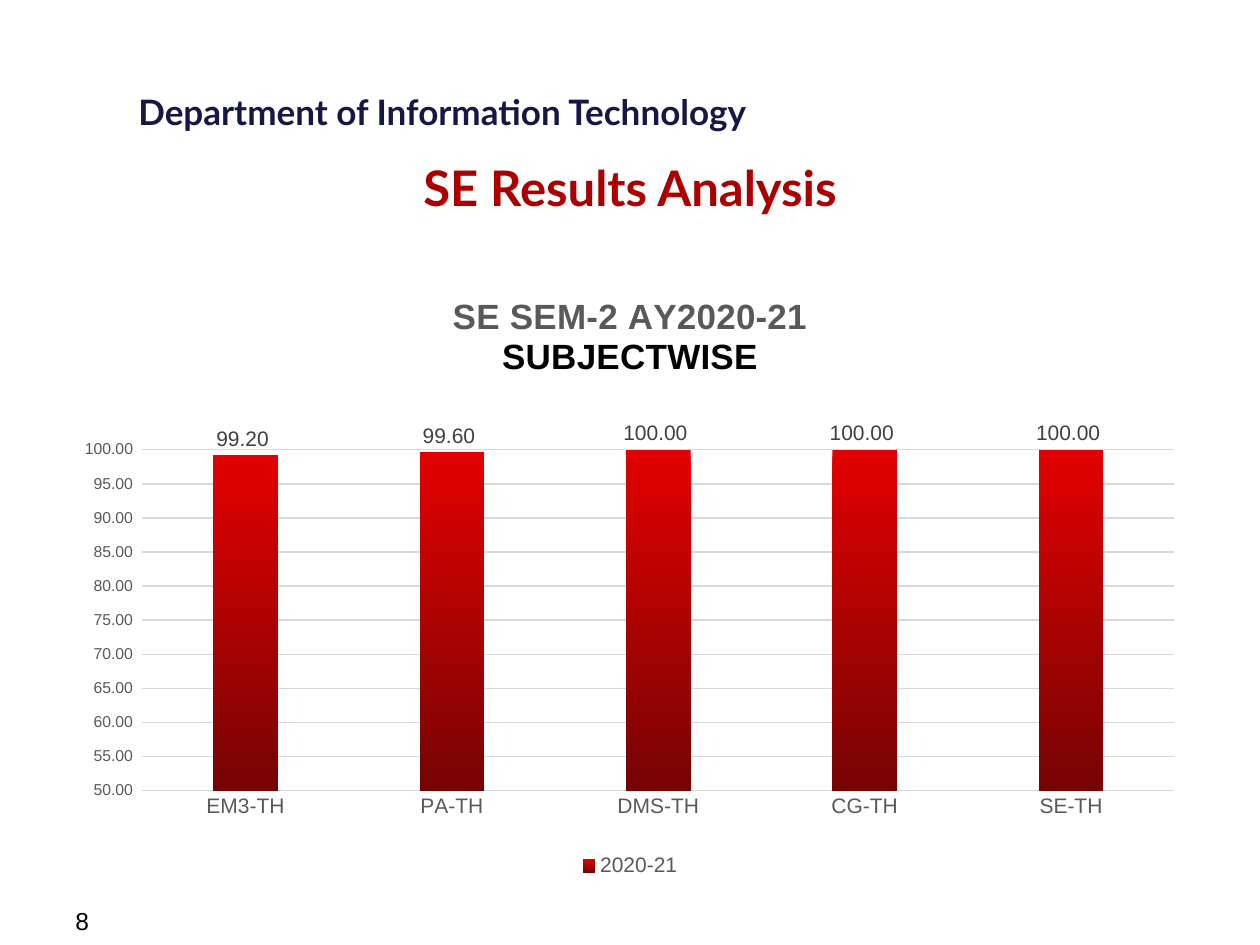
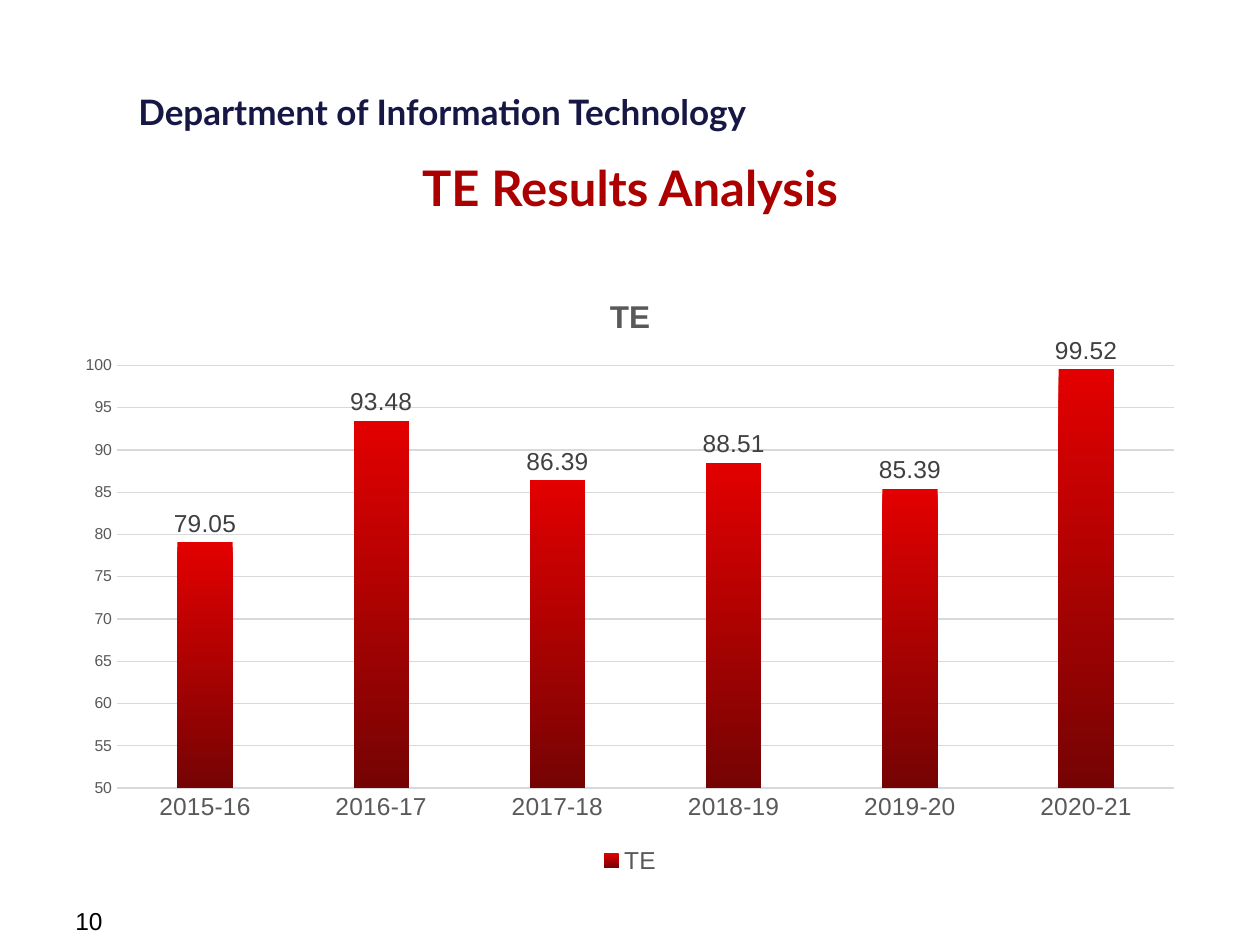
from lxml import etree
from pptx import Presentation
from pptx.chart.data import CategoryChartData
from pptx.dml.color import RGBColor
from pptx.enum.chart import (XL_CHART_TYPE, XL_LABEL_POSITION as LABEL_POS,
                             XL_LEGEND_POSITION as LEGEND_POS, XL_TICK_MARK as TICK)
from pptx.enum.text import MSO_ANCHOR as ANCHOR, MSO_AUTO_SIZE as AUTO_SIZE, PP_ALIGN
from pptx.oxml.ns import qn
from pptx.util import Cm, Pt

# Shared colours and text formats
NAVY = RGBColor(0x17, 0x17, 0x45)
CRIMSON = RGBColor(0xAC, 0x00, 0x00)
BLACK = RGBColor(0x00, 0x00, 0x00)
GREY = RGBColor(0x59, 0x59, 0x59)
DARK_GREY = RGBColor(0x40, 0x40, 0x40)
GRID = RGBColor(0xD9, 0xD9, 0xD9)
BAR_TOP = RGBColor(0xE3, 0x00, 0x00)
BAR_BOTTOM = RGBColor(0x76, 0x03, 0x03)

DEPARTMENT = {"name": "Lato", "size": Pt(20), "bold": True, "color": NAVY}
TITLE = {"name": "Lato", "size": Pt(28), "bold": True, "color": CRIMSON}
PAGE_NUMBER = {"name": "Arial", "size": Pt(14), "bold": False, "color": BLACK}

# What differs from slide to slide
SLIDES = [
    {"title": "SE Results Analysis", "page": "8", "top": 5.51,
     "heading": [("SE SEM-2 AY2020-21", GREY), ("SUBJECTWISE", BLACK)],
     "heading_size": 20, "text_size": 12, "format": "0.00_ ",
     "plot": {"x": 0.07, "y": 0.29, "w": 0.91, "h": 0.56},
     "series": "2020-21",
     "values": {"EM3-TH": 99.2, "PA-TH": 99.6, "DMS-TH": 100,
                "CG-TH": 100, "SE-TH": 100}},
    {"title": "TE Results Analysis", "page": "10", "top": 5.46,
     "heading": [("TE", GREY)],
     "heading_size": 18, "text_size": 14, "format": "General",
     "plot": None,
     "series": "TE",
     "values": {"2015-16": 79.05, "2016-17": 93.48, "2017-18": 86.39,
                "2018-19": 88.51, "2019-20": 85.39, "2020-21": 99.52}},
]


def set_font(font, style):
    for key, value in style.items():
        if key == "color":
            font.color.rgb = value
        else:
            setattr(font, key, value)


def fill_text(shape, text, style, align=PP_ALIGN.LEFT, wrap=True):
    tf = shape.text_frame
    tf.word_wrap = wrap
    tf.auto_size = AUTO_SIZE.NONE
    tf.vertical_anchor = ANCHOR.TOP
    p = tf.paragraphs[0]
    p.alignment = align
    r = p.add_run()
    r.text = text
    set_font(r.font, style)


prs = Presentation()
prs.slide_width, prs.slide_height = Cm(25.4), Cm(19.05)

for item in SLIDES:
    s = prs.slides.add_slide(prs.slide_layouts[5])

    # Department line, title and page number
    department = s.shapes.add_textbox(Cm(2.54), Cm(1.7), Cm(13.6), Cm(1.11))
    fill_text(department, "Department of Information Technology", DEPARTMENT, wrap=False)
    title = s.shapes.title
    title.left, title.top, title.width, title.height = Cm(1.27), Cm(3.05), Cm(22.86), Cm(1.22)
    fill_text(title, item["title"], TITLE, PP_ALIGN.CENTER)
    page = s.shapes.add_textbox(Cm(1.27), Cm(18.14), Cm(5.92), Cm(0.69))
    fill_text(page, item["page"], PAGE_NUMBER)

    # Column chart
    data = CategoryChartData(number_format=item["format"])
    data.categories = list(item["values"])
    data.add_series(item["series"], list(item["values"].values()))
    chart = s.shapes.add_chart(XL_CHART_TYPE.COLUMN_CLUSTERED, Cm(1.27), Cm(item["top"]),
                               Cm(22.86), Cm(12.27), data).chart
    set_font(chart.font, {"name": "Arial", "size": Pt(10), "color": BLACK})
    chart_text = {"name": "Arial", "size": Pt(item["text_size"]), "color": GREY}

    # Chart heading
    chart.has_title = True
    chart.chart_title.include_in_layout = False
    tf = chart.chart_title.text_frame
    for i, (line, color) in enumerate(item["heading"]):
        p = tf.add_paragraph() if i else tf.paragraphs[0]
        r = p.add_run()
        r.text = line
        set_font(r.font, {"name": "Arial", "size": Pt(item["heading_size"]),
                          "bold": True, "color": color})

    # Legend
    chart.has_legend = True
    chart.legend.position = LEGEND_POS.BOTTOM
    chart.legend.include_in_layout = False
    set_font(chart.legend.font, chart_text)

    # Axes
    category_axis, value_axis = chart.category_axis, chart.value_axis
    for axis in (category_axis, value_axis):
        axis.major_tick_mark = axis.minor_tick_mark = TICK.NONE
        set_font(axis.tick_labels.font, chart_text)
    value_axis.tick_labels.font.size = Pt(9)
    value_axis.tick_labels.number_format = item["format"]
    value_axis.tick_labels.number_format_is_linked = False
    value_axis.minimum_scale, value_axis.maximum_scale, value_axis.major_unit = 50, 100, 5
    value_axis.format.line.fill.background()
    for line in (category_axis.format.line, value_axis.major_gridlines.format.line):
        line.color.rgb = GRID
        line.width = Pt(0.75)

    # Bars and value labels
    plot = chart.plots[0]
    plot.vary_by_categories = False
    plot.gap_width, plot.overlap = 219, -27
    fill = plot.series[0].format.fill
    fill.gradient()
    fill.gradient_angle = 270
    for stop, color, position in zip(fill.gradient_stops, (BAR_TOP, BAR_BOTTOM), (0, 1)):
        stop.color.rgb = color
        stop.position = position
    labels = plot.series[0].data_labels
    labels.show_value = True
    labels.position = LABEL_POS.OUTSIDE_END
    labels.number_format = item["format"]
    labels.number_format_is_linked = False
    set_font(labels.font, {**chart_text, "color": DARK_GREY})

    # Fixed place of the plot area
    if item["plot"]:
        area = chart.element.find(".//" + qn("c:plotArea"))
        for old in area.findall(qn("c:layout")):
            area.remove(old)
        layout = etree.Element(qn("c:layout"))
        area.insert(0, layout)
        manual = etree.SubElement(layout, qn("c:manualLayout"))
        settings = {"layoutTarget": "inner", "xMode": "edge", "yMode": "edge", **item["plot"]}
        for tag, value in settings.items():
            etree.SubElement(manual, qn("c:" + tag)).set("val", str(value))

prs.save("out.pptx")
